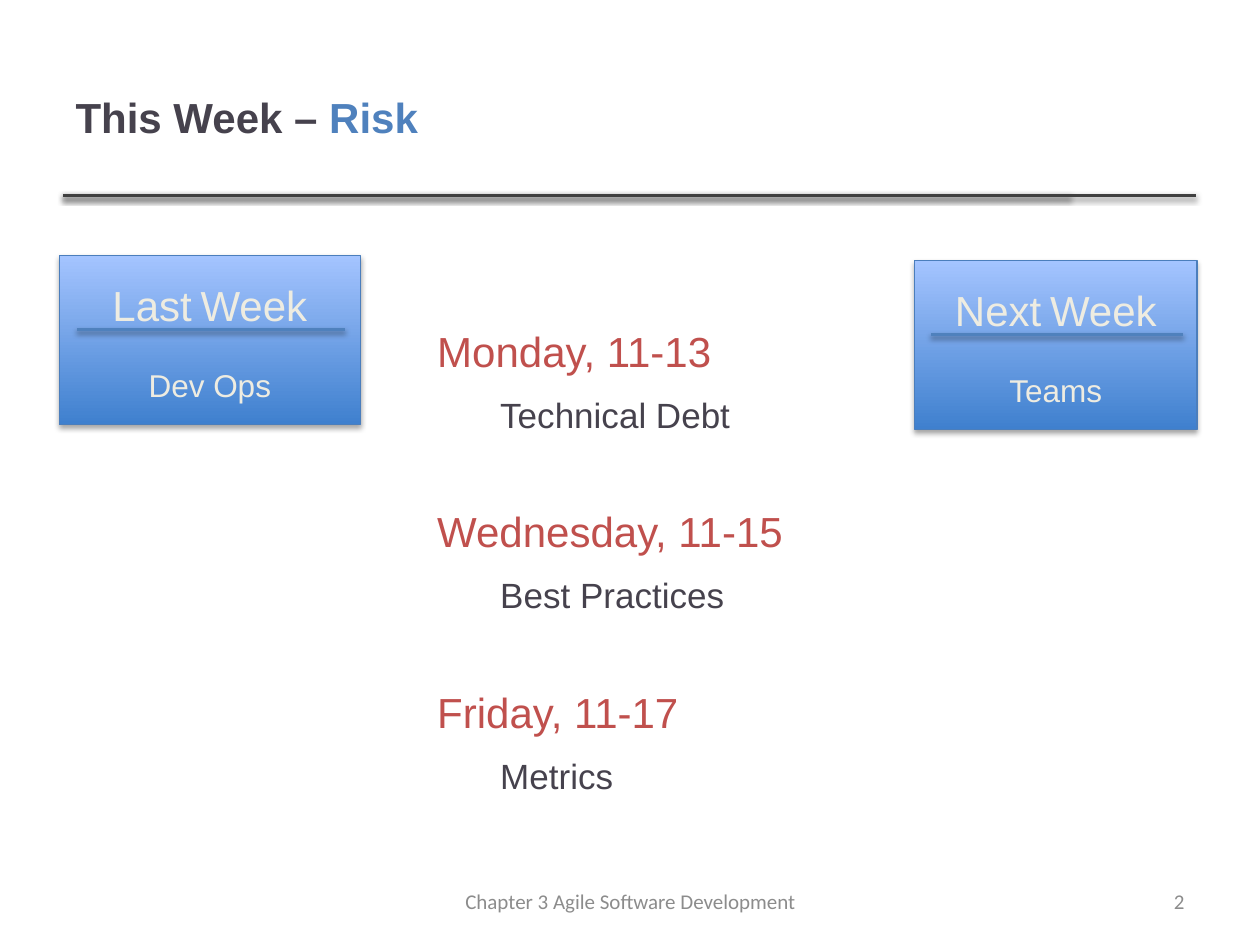
from lxml import etree
from pptx import Presentation
from pptx.dml.color import RGBColor
from pptx.enum.shapes import MSO_CONNECTOR as CONNECTOR, MSO_SHAPE as SHAPE
from pptx.enum.text import MSO_ANCHOR as ANCHOR, MSO_AUTO_SIZE as AUTO_SIZE, PP_ALIGN as ALIGN
from pptx.oxml.ns import qn
from pptx.util import Inches, Pt

DARK, BLUE, RED, GRAY, CREAM = "46424D", "4F81BD", "C0504D", "8C8C8C", "EEECE1"


def write(paragraph, text, size=24, color=DARK, font="Arial", bold=False,
          align=ALIGN.LEFT, before=0, after=0):
    paragraph.alignment = align
    paragraph.space_before, paragraph.space_after = Pt(before), Pt(after)
    run = paragraph.add_run()
    run.text = text
    run.font.name, run.font.size, run.font.bold = font, Pt(size), bold
    run.font.color.rgb = RGBColor.from_string(color)


def add_shadow(shape, opacity, distance):
    """Append a soft black shadow below the shape; its line must be set first."""
    effects = etree.SubElement(shape.element.spPr, qn("a:effectLst"))
    shadow = etree.SubElement(effects, qn("a:outerShdw"), blurRad=str(Pt(3.1)),
                              dist=str(Pt(distance)), dir="5400000", rotWithShape="0")
    black = etree.SubElement(shadow, qn("a:srgbClr"), val="000000")
    etree.SubElement(black, qn("a:alpha"), val=str(opacity * 1000))


presentation = Presentation()
presentation.slide_width, presentation.slide_height = Inches(10), Inches(7.5)
slide = presentation.slides.add_slide(presentation.slide_layouts[1])

# Title
title = slide.shapes.title
title.left, title.top, title.width, title.height = map(Inches, (0.5, 0.3, 7.98, 1.25))
title.text_frame.vertical_anchor = ANCHOR.MIDDLE
title.text_frame.auto_size = AUTO_SIZE.NONE
for text, color in (("This Week – ", DARK), ("Risk", BLUE)):
    write(title.text_frame.paragraphs[0], text, color=color, bold=True)

# Schedule
body = slide.placeholders[1]
body.left, body.top, body.width, body.height = map(Inches, (3.37, 2.53, 3.59, 3.79))
frame = body.text_frame
frame.auto_size = AUTO_SIZE.NONE
schedule = (("Monday, 11-13", "Technical Debt"),
            ("Wednesday, 11-15", "Best Practices"),
            ("Friday, 11-17", "Metrics"))
for index, (day, topic) in enumerate(schedule):
    heading = frame.add_paragraph() if index else frame.paragraphs[0]
    write(heading, day, color=RED, before=37.5 if index else 6, after=6)
    detail = frame.add_paragraph()
    detail.level = 1
    write(detail, topic, size=20, before=4, after=3)
    for paragraph, indent in ((heading, 0), (detail, 0.5)):
        properties = paragraph._p.get_or_add_pPr()
        properties.set("marL", str(Inches(indent)))
        properties.set("indent", "0")
        etree.SubElement(properties, qn("a:buNone"))

# Neighbouring weeks
weeks = (("Next", "Teams", 7.26, 2.07, 2.24, 0.13, 2.0),
         ("Last", "Dev Ops", 0.47, 2.03, 2.39, 0.14, 2.13))
lines = [(slide.shapes, 0.5, right, 1.55, "404040") for right in (8.49, 9.49)]
for week, topic, left, top, width, inset, length in weeks:
    group = slide.shapes.add_group_shape()
    box = group.shapes.add_shape(SHAPE.RECTANGLE, Inches(left), Inches(top),
                                 Inches(width), Inches(1.34))
    box.fill.gradient()
    box.fill.gradient_angle = 90
    for stop, color in zip(box.fill.gradient_stops, ("3F80CE", "A4C4FF")):
        stop.color.rgb = RGBColor.from_string(color)
    box.line.color.rgb = RGBColor.from_string("4B7EBC")
    box.line.width = Pt(0.75)
    add_shadow(box, 35, 1.8)

    label = group.shapes.add_textbox(Inches(left), Inches(top + 0.14),
                                     Inches(width), Inches(1.11))
    frame = label.text_frame
    frame.word_wrap = True
    frame.auto_size = AUTO_SIZE.SHAPE_TO_FIT_TEXT
    for text, size in ((week, 24), (" ", 18), ("Week", 24)):
        write(frame.paragraphs[0], text, size=size, color=CREAM, align=ALIGN.CENTER)
    write(frame.add_paragraph(), topic, size=18, color=CREAM,
          align=ALIGN.CENTER, before=20.5)
    lines.append((group.shapes, left + inset, left + inset + length, top + 0.585, BLUE))

# Rules below the title and inside the boxes
for shapes, start, end, y, color in lines:
    rule = shapes.add_connector(CONNECTOR.STRAIGHT, Inches(start), Inches(y),
                                Inches(end), Inches(y))
    rule.line.color.rgb = RGBColor.from_string(color)
    rule.line.width = Pt(2)
    add_shadow(rule, 38, 1.6)

# Footer and slide number
for text, left, width, align in (
        ("Chapter 3 Agile Software Development", 3.42, 3.17, ALIGN.CENTER),
        ("2", 7.17, 2.33, ALIGN.RIGHT)):
    footer = slide.shapes.add_textbox(Inches(left), Inches(6.95), Inches(width), Inches(0.4))
    footer.text_frame.word_wrap = True
    footer.text_frame.vertical_anchor = ANCHOR.MIDDLE
    write(footer.text_frame.paragraphs[0], text, size=12, color=GRAY,
          font="Calibri", align=align)

presentation.save("out.pptx")
